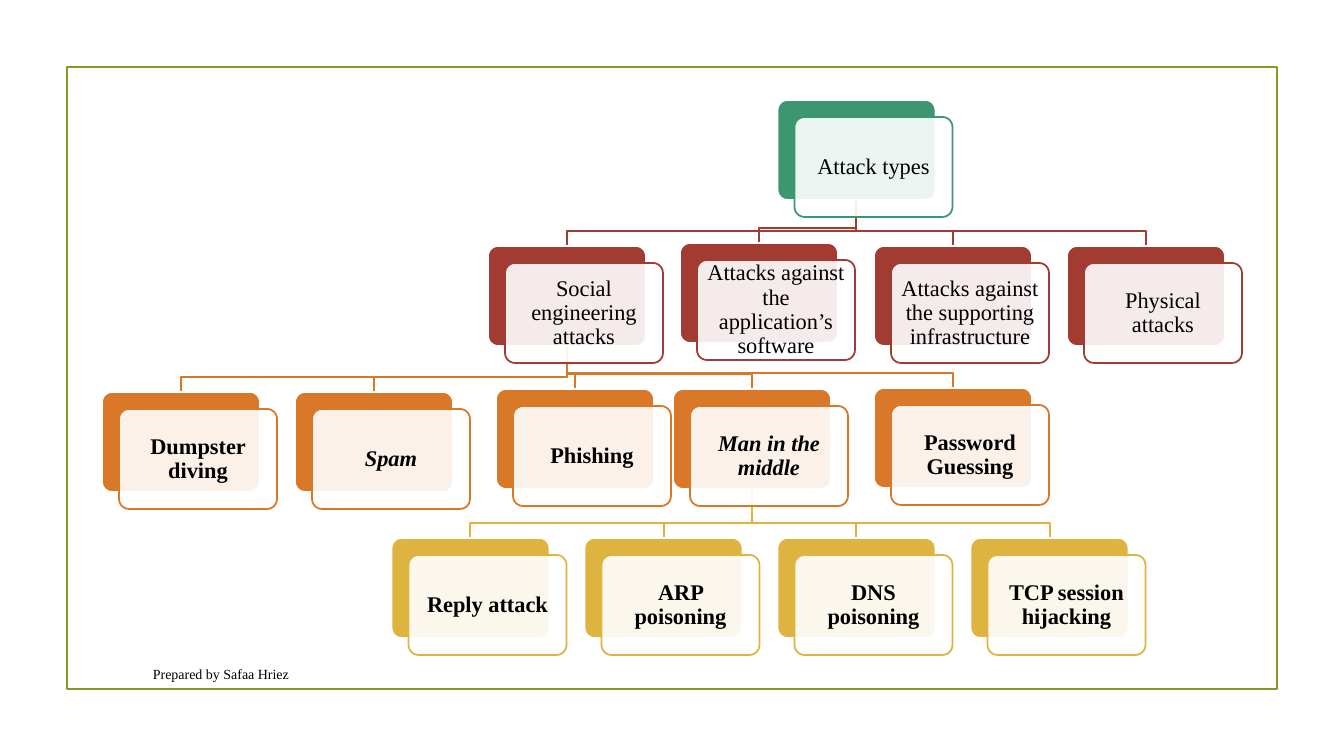
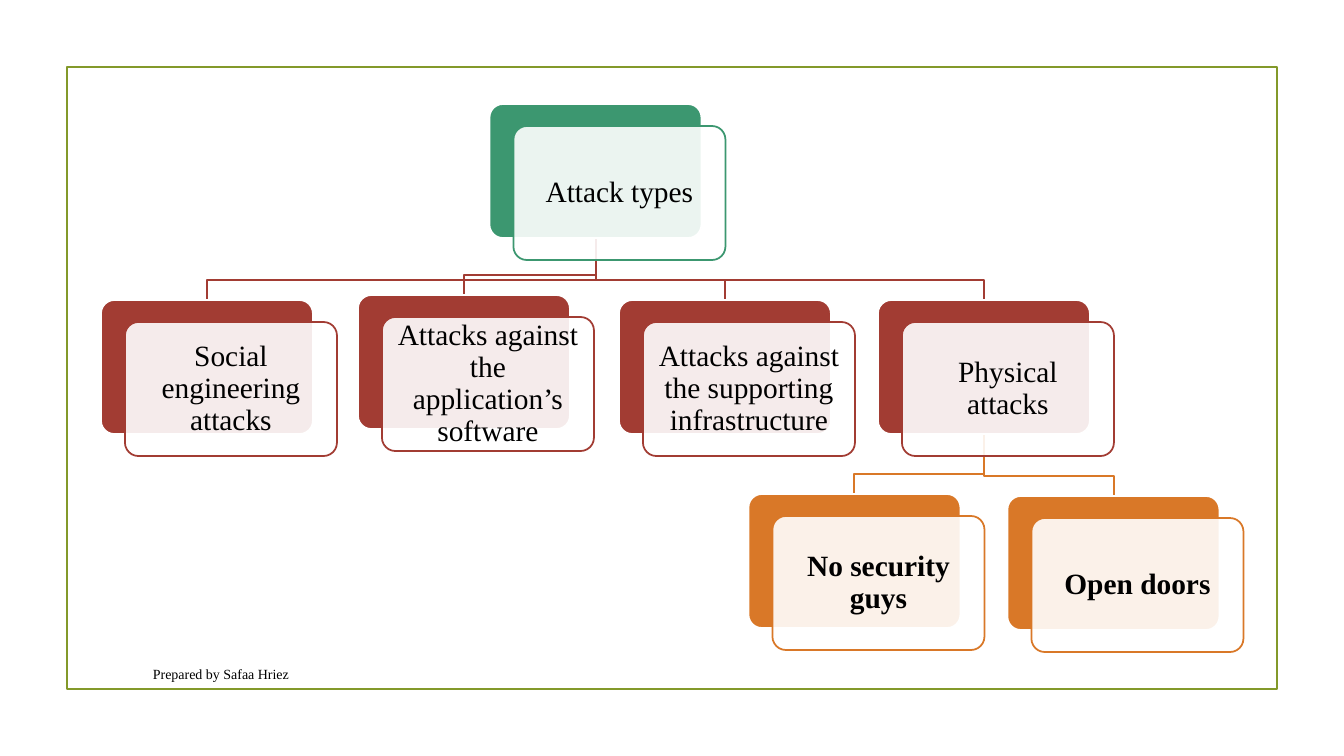
from dataclasses import dataclass

from lxml.etree import SubElement
from pptx import Presentation
from pptx.dml.color import RGBColor
from pptx.enum.shapes import MSO_SHAPE as Shape
from pptx.enum.text import MSO_ANCHOR as Anchor, PP_ALIGN as Align
from pptx.oxml.ns import qn
from pptx.util import Pt

PX = 914400 / 100.8  # EMU in one px


@dataclass(frozen=True)
class Theme:
    font: str = "Times New Roman"
    ink: str = "000000"
    paper: str = "FFFFFF"
    frame: str = "83992A"
    levels: tuple = ("3C9770", "A23C33", "D97828", "DEB340")
    line: float = 1.25
    footer_size: int = 10


@dataclass(frozen=True)
class Tree:
    origin: tuple   # left, top of the first grid cell
    step: tuple     # distance between columns and rows
    card: tuple     # width, height
    offset: tuple   # shift from the back panel to the front panel
    inset: int
    drop: int       # from a connector's crossbar to the child
    size: int       # type size
    nodes: tuple    # label, parent, level, column, nudge


theme = Theme()
ITALIC = {"Spam", "Man in the middle"}
ROOT, SOCIAL, PHYSICAL = "Attack types", "Social engineering attacks", "Physical attacks"
SOFTWARE = "Attacks against the application’s software"
SUPPORT = "Attacks against the supporting infrastructure"
MIDDLE = "Man in the middle"

trees = [
    Tree((102, 100), (193, 146), (158, 100), (17, 17), 7, 15, 16, (
        (ROOT, None, 0, 3.5, (0, 0)),
        (SOCIAL, ROOT, 1, 2, (0, 0)),
        (SOFTWARE, ROOT, 1, 3, (-1, -3)),
        (SUPPORT, ROOT, 1, 4, (0, 0)),
        (PHYSICAL, ROOT, 1, 5, (0, 0)),
        ("Dumpster diving", SOCIAL, 2, 0, (0, 0)),
        ("Spam", SOCIAL, 2, 1, (0, 0)),
        ("Phishing", SOCIAL, 2, 2, (8, -3)),
        (MIDDLE, SOCIAL, 2, 3, (-8, -3)),
        ("Password Guessing", SOCIAL, 2, 4, (0, -4)),
        ("Reply attack", MIDDLE, 3, 1.5, (0, 0)),
        ("ARP poisoning", MIDDLE, 3, 2.5, (0, 0)),
        ("DNS poisoning", MIDDLE, 3, 3.5, (0, 0)),
        ("TCP session hijacking", MIDDLE, 3, 4.5, (0, 0)),
    )),
    Tree((101, 104), (259, 196), (212, 134), (24, 22), 9, 20, 21, (
        (ROOT, None, 0, 1.5, (0, 0)),
        (SOCIAL, ROOT, 1, 0, (0, 0)),
        (SOFTWARE, ROOT, 1, 1, (-2, -5)),
        (SUPPORT, ROOT, 1, 2, (0, 0)),
        (PHYSICAL, ROOT, 1, 3, (0, 0)),
        ("No security guys", PHYSICAL, 2, 2.5, (0, -2)),
        ("Open doors", PHYSICAL, 2, 3.5, (0, 0)),
    )),
]


def add_panel(page, kind, box, fill, line):
    panel = page.shapes.add_shape(kind, *(round(v * PX) for v in box))
    panel.shadow.inherit = False
    panel.line.color.rgb = RGBColor.from_string(line)
    panel.line.width = Pt(theme.line)
    if fill:
        panel.fill.solid()
        panel.fill.fore_color.rgb = RGBColor.from_string(fill)
    else:
        panel.fill.background()
    if kind == Shape.ROUNDED_RECTANGLE:
        panel.adjustments[0] = 0.1
    return panel


def write(box, text, size, align, inset=None):
    frame = box.text_frame
    frame.word_wrap = True
    frame.vertical_anchor = Anchor.MIDDLE
    if inset is not None:
        frame.margin_left = frame.margin_right = round(inset * PX)
        frame.margin_top = frame.margin_bottom = round(inset * PX)
    para = frame.paragraphs[0]
    para.text = text
    para.alignment = align
    para.font.name = theme.font
    para.font.size = Pt(size)
    para.font.color.rgb = RGBColor.from_string(theme.ink)
    return para


deck = Presentation()
deck.slide_width, deck.slide_height = round(1344 * PX), round(756 * PX)
layout = deck.slide_layouts[6]
pages = [deck.slides.add_slide(layout) for tree in trees]

# Border, shared through the layout
border = add_panel(pages[0], Shape.RECTANGLE, (67, 67, 1210, 622), None, theme.frame)
border.element.nvSpPr.cNvPr.set("id", "20")
layout.shapes.element.append(border.element)

for page, tree in zip(pages, trees):
    width, height = tree.card
    places = {
        label: (tree.origin[0] + column * tree.step[0] + nudge[0],
                tree.origin[1] + level * tree.step[1] + nudge[1])
        for label, parent, level, column, nudge in tree.nodes
    }

    # Elbow lines from each parent to its children
    for label, parent, level, column, nudge in tree.nodes:
        if parent is None:
            continue
        start_x, start_y = places[parent][0] + width / 2, places[parent][1] + height
        end_x, end_y = places[label][0] + width / 2, places[label][1]
        bar_y = end_y - tree.drop
        elbow = page.shapes.build_freeform(start_x, start_y, scale=PX)
        elbow.add_line_segments(
            [(start_x, bar_y), (end_x, bar_y), (end_x, end_y)], close=False)
        link = elbow.convert_to_shape()
        link.shadow.inherit = False
        link.fill.background()
        link.line.color.rgb = RGBColor.from_string(theme.levels[level])
        link.line.width = Pt(theme.line)

    # Cards: coloured back panel, translucent front panel with the label
    for label, parent, level, column, nudge in tree.nodes:
        left, top = places[label]
        color = theme.levels[level]
        add_panel(page, Shape.ROUNDED_RECTANGLE, (left, top, width, height),
                  color, theme.paper)
        front = add_panel(page, Shape.ROUNDED_RECTANGLE,
                          (left + tree.offset[0], top + tree.offset[1], width, height),
                          theme.paper, color)
        tint = front.element.spPr.find(qn("a:solidFill"))[0]
        SubElement(tint, qn("a:alpha"), val="90000")
        para = write(front, label, tree.size, Align.CENTER, tree.inset)
        para.line_spacing = 0.9
        para.font.bold = level >= 2
        para.font.italic = label in ITALIC

    # Footer
    footer = page.shapes.add_textbox(*(round(v * PX) for v in (143, 658, 805, 31)))
    write(footer, "Prepared by Safaa Hriez", theme.footer_size, Align.LEFT)

deck.save("out.pptx")
